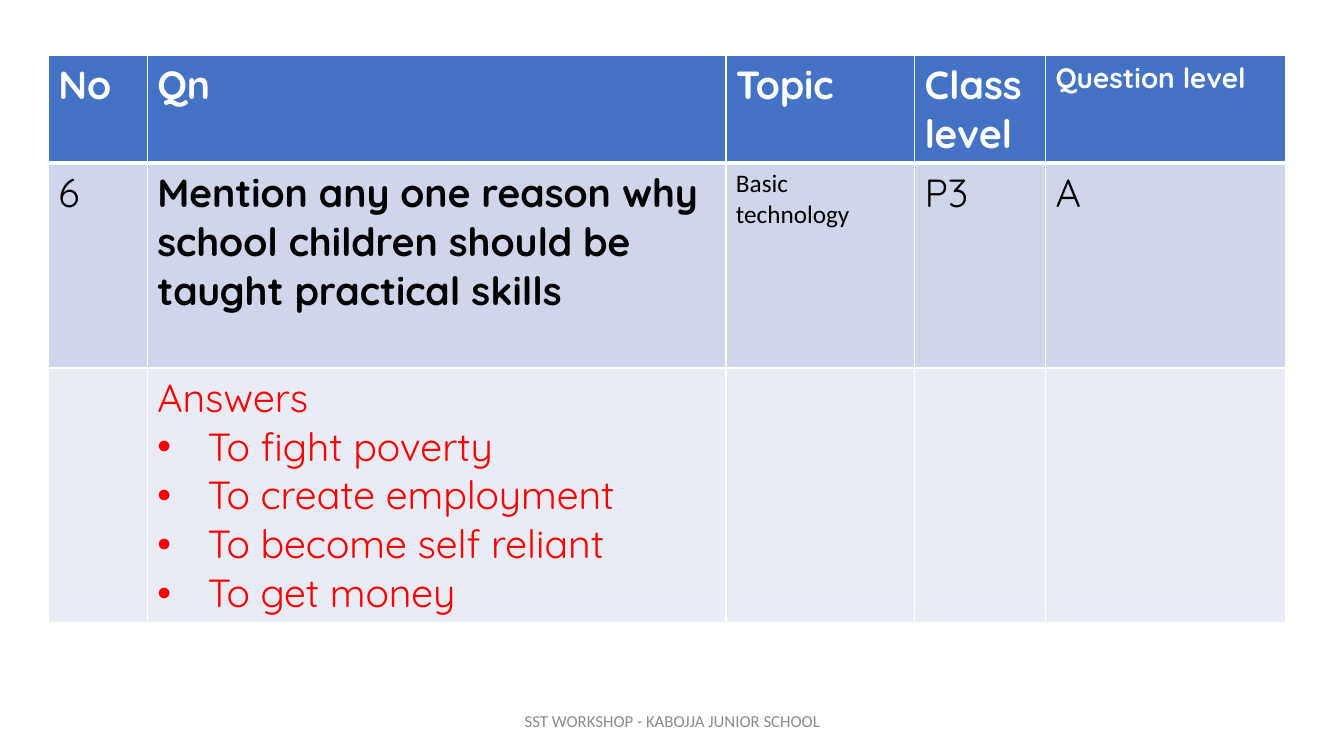
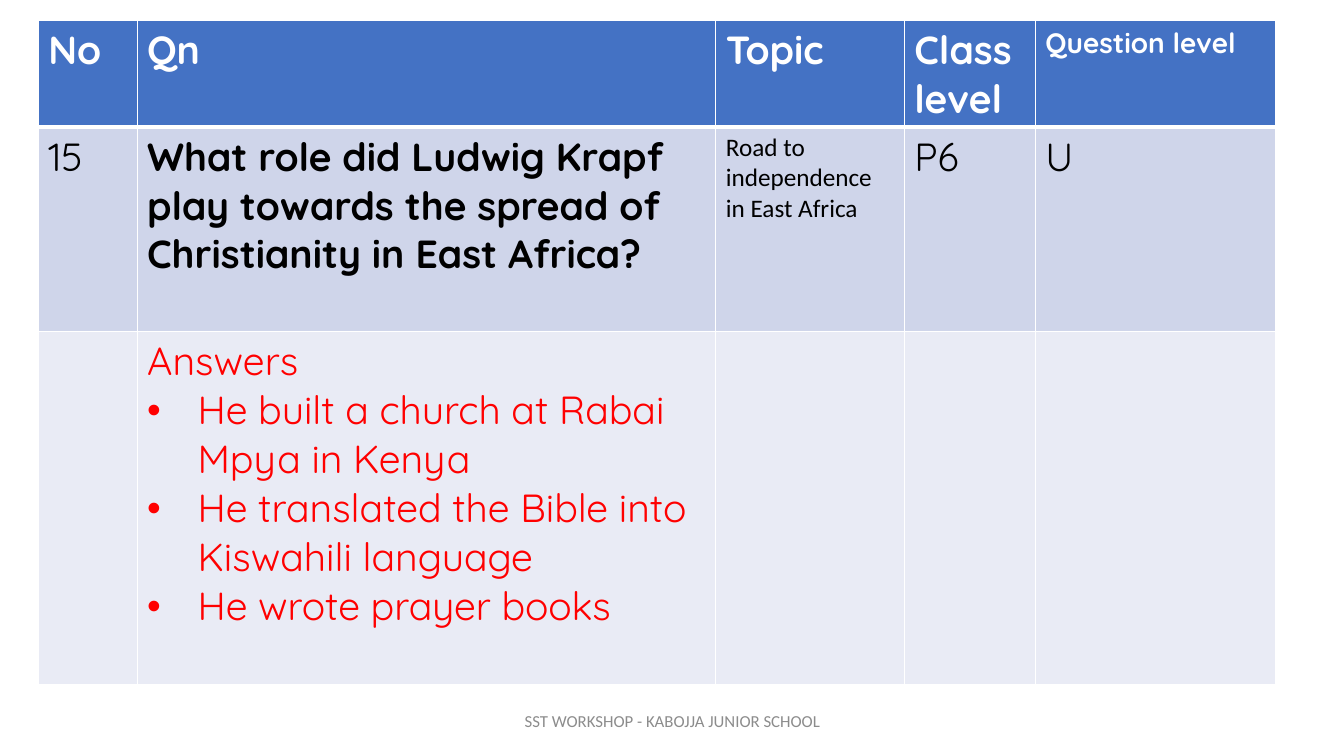
from pptx import Presentation
from pptx.dml.color import RGBColor
from pptx.enum.text import MSO_ANCHOR, PP_ALIGN
from pptx.oxml import parse_xml
from pptx.oxml.ns import nsdecls
from pptx.util import Inches, Pt

CENTER = PP_ALIGN.CENTER
MIDDLE = MSO_ANCHOR.MIDDLE

COLORS = {
    "header": "4472C4",
    "question": "CFD5EA",
    "answer": "E9EBF5",
    "white": "FFFFFF",
    "black": "000000",
    "red": "FF0000",
    "gray": "8C8C8C",
}
FORMATS = {
    "header": {"name": "Quicksand", "size": Pt(28), "bold": True, "color": "white"},
    "header_small": {"name": "Quicksand", "size": Pt(20), "bold": True, "color": "white"},
    "body": {"name": "Quicksand", "size": Pt(28), "bold": False, "color": "black"},
    "question": {"name": "Quicksand", "size": Pt(28), "bold": True, "color": "black"},
    "topic": {"name": "Calibri", "size": Pt(18), "bold": False, "color": "black"},
    "answer": {"name": "Quicksand", "size": Pt(28), "bold": False, "color": "red"},
    "footer": {"name": "Calibri", "size": Pt(12), "bold": False, "color": "gray"},
}
FOOTER = "SST WORKSHOP - KABOJJA JUNIOR SCHOOL"
HEADERS = ["No", "Qn", "Topic", "Class level", "Question level"]
COLUMN_WIDTHS = [0.98, 5.74, 1.87, 1.3, 2.38]
HEADER_HEIGHT = 1.06
QUESTION_HEIGHT = 2.03
ROW_FILLS = ["header", "question", "answer"]
ROW_FORMATS = [
    ["header", "header", "header", "header", "header_small"],
    ["body", "question", "topic", "body", "body"],
    ["body", "answer", "body", "body", "body"],
]
QUESTIONS = [
    {
        "left": 0.48,
        "top": 0.55,
        "answer_height": 2.53,
        "cells": [
            "6",
            "Mention any one reason why school children should be taught practical skills",
            "Basic technology",
            "P3",
            "A",
        ],
        "answers": [
            "To fight poverty",
            "To create employment",
            "To become self reliant",
            "To get money",
        ],
    },
    {
        "left": 0.38,
        "top": 0.2,
        "answer_height": 3.5,
        "cells": [
            "15",
            "What role did Ludwig Krapf play towards the spread of Christianity in East Africa?",
            "Road to independence in East Africa",
            "P6",
            "U",
        ],
        "answers": [
            "He built a church at Rabai Mpya in Kenya",
            "He translated the Bible into Kiswahili language",
            "He wrote prayer books",
        ],
    },
]


def write_lines(text_frame, lines, format_name):
    for index, line in enumerate(lines):
        paragraph = text_frame.paragraphs[0] if index == 0 else text_frame.add_paragraph()
        if index > 0:
            properties = paragraph._p.get_or_add_pPr()
            properties.set("marL", str(Inches(0.5)))
            properties.set("indent", str(-Inches(0.5)))
            properties.append(parse_xml(f'<a:buFont {nsdecls("a")} typeface="Arial"/>'))
            properties.append(parse_xml(f'<a:buChar {nsdecls("a")} char="•"/>'))
        run = paragraph.add_run()
        run.text = line
        for name, value in FORMATS[format_name].items():
            if name == "color":
                run.font.color.rgb = RGBColor.from_string(COLORS[value])
            else:
                setattr(run.font, name, value)


def style_cell(cell, fill, top_width, bottom_width):
    properties = cell._tc.get_or_add_tcPr()
    borders = {"lnL": 1, "lnR": 1, "lnT": top_width, "lnB": bottom_width}
    for side, width in borders.items():
        properties.append(parse_xml(
            f'<a:{side} {nsdecls("a")} w="{Pt(width)}"><a:solidFill>'
            f'<a:srgbClr val="{COLORS["white"]}"/></a:solidFill></a:{side}>'
        ))
    cell.fill.solid()
    cell.fill.fore_color.rgb = RGBColor.from_string(COLORS[fill])


presentation = Presentation()
presentation.slide_width = Inches(13.33)
presentation.slide_height = Inches(7.5)
blank_layout = presentation.slide_layouts[6]

for question in QUESTIONS:
    slide = presentation.slides.add_slide(blank_layout)
    row_heights = [HEADER_HEIGHT, QUESTION_HEIGHT, question["answer_height"]]
    table = slide.shapes.add_table(
        len(row_heights), len(COLUMN_WIDTHS),
        Inches(question["left"]), Inches(question["top"]),
        Inches(sum(COLUMN_WIDTHS)), Inches(sum(row_heights)),
    ).table
    for column, width in zip(table.columns, COLUMN_WIDTHS):
        column.width = Inches(width)
    for row, height in zip(table.rows, row_heights):
        row.height = Inches(height)

    answer_lines = ["Answers"] + question["answers"]
    contents = [
        [[text] for text in HEADERS],
        [[text] for text in question["cells"]],
        [[], answer_lines, [], [], []],
    ]
    for row_index, row_contents in enumerate(contents):
        top_width = 3 if row_index == 1 else 1
        bottom_width = 3 if row_index == 0 else 1
        for column_index, lines in enumerate(row_contents):
            cell = table.cell(row_index, column_index)
            style_cell(cell, ROW_FILLS[row_index], top_width, bottom_width)
            write_lines(cell.text_frame, lines, ROW_FORMATS[row_index][column_index])

    footer = slide.shapes.add_textbox(Inches(4.42), Inches(6.95), Inches(4.5), Inches(0.4))
    footer.text_frame.word_wrap = True
    footer.text_frame.vertical_anchor = MIDDLE
    write_lines(footer.text_frame, [FOOTER], "footer")
    footer.text_frame.paragraphs[0].alignment = CENTER

presentation.save("out.pptx")
